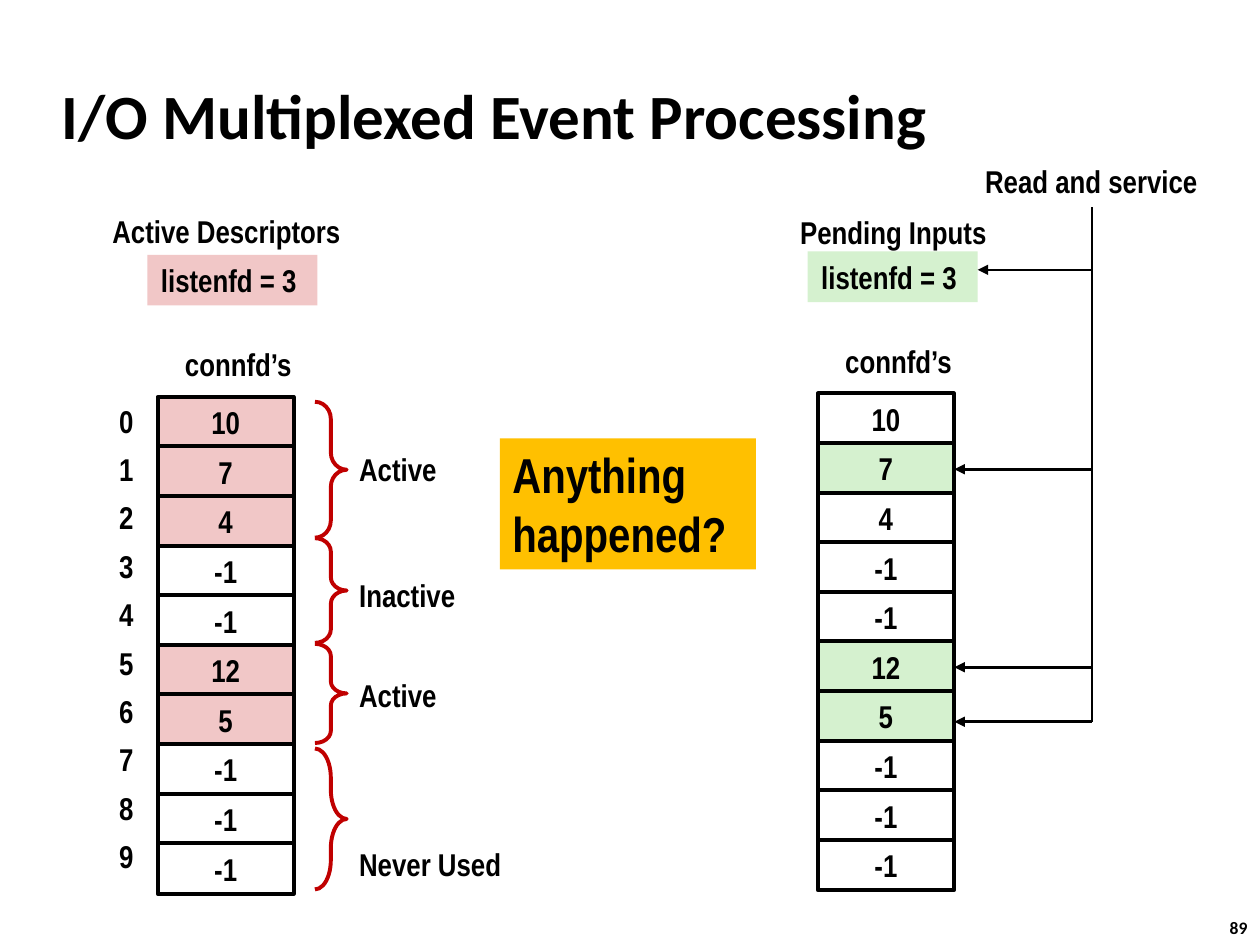
"""Build the slide on I/O multiplexed event processing."""
from dataclasses import dataclass

from lxml.etree import SubElement
from pptx import Presentation
from pptx.dml.color import RGBColor
from pptx.enum.shapes import MSO_CONNECTOR, MSO_SHAPE
from pptx.enum.text import MSO_ANCHOR as Anchor, MSO_AUTO_SIZE as AutoSize, PP_ALIGN as Align
from pptx.oxml.ns import qn
from pptx.util import Cm, Pt


@dataclass(frozen=True)
class Theme:
    black: RGBColor = RGBColor(0x00, 0x00, 0x00)
    white: RGBColor = RGBColor(0xFF, 0xFF, 0xFF)
    active: RGBColor = RGBColor(0xF1, 0xC7, 0xC7)
    pending: RGBColor = RGBColor(0xD5, 0xF1, 0xCF)
    brace: RGBColor = RGBColor(0xC0, 0x00, 0x00)
    question: RGBColor = RGBColor(0xFF, 0xC0, 0x00)
    body_font: str = "Arial Narrow"
    title_font: str = "Calibri"
    title_size: Pt = Pt(36)
    question_size: Pt = Pt(28)
    body_size: Pt = Pt(18)
    number_size: Pt = Pt(10)
    border: Pt = Pt(2.25)
    arrow: Pt = Pt(1.5)


theme = Theme()


def add_label(shapes, text, left, top, width, height=1.02, align=Align.CENTER, anchor=Anchor.TOP,
              wrap=False, fill=None, border=False, font=theme.body_font, size=theme.body_size):
    place = Cm(left), Cm(top), Cm(width), Cm(height)
    if fill is None:
        shape = shapes.add_textbox(*place)
    else:
        shape = shapes.add_shape(MSO_SHAPE.RECTANGLE, *place)
        shape.shadow.inherit = False
        shape.fill.solid()
        shape.fill.fore_color.rgb = fill
        if border:
            shape.line.color.rgb = theme.black
            shape.line.width = theme.border
        else:
            shape.line.fill.background()
    frame = shape.text_frame
    frame.word_wrap = wrap
    frame.auto_size = AutoSize.SHAPE_TO_FIT_TEXT
    frame.vertical_anchor = anchor
    for index, line in enumerate(text.split("\n")):
        paragraph = frame.add_paragraph() if index else frame.paragraphs[0]
        paragraph.alignment = align
        run = paragraph.add_run()
        run.text = line
        run.font.name = font
        run.font.size = size
        run.font.bold = True
        run.font.color.rgb = theme.black


def add_line(shapes, start_x, start_y, end_x, end_y, arrowhead=False):
    connector = shapes.add_connector(
        MSO_CONNECTOR.STRAIGHT, Cm(start_x), Cm(start_y), Cm(end_x), Cm(end_y))
    connector.line.color.rgb = theme.black
    connector.line.width = theme.arrow
    properties = connector._element.spPr
    if arrowhead:
        SubElement(properties.find(qn("a:ln")), qn("a:tailEnd"), type="triangle")
    SubElement(properties, qn("a:effectLst"))


presentation = Presentation()
presentation.slide_width = Cm(25.4)
presentation.slide_height = Cm(19.05)
slide = presentation.slides.add_slide(presentation.slide_layouts[5])

title = slide.shapes.title
title.left, title.top, title.width, title.height = Cm(0.99), Cm(1.24), Cm(21.08), Cm(2.11)
title.text_frame.vertical_anchor = Anchor.MIDDLE
paragraph = title.text_frame.paragraphs[0]
paragraph.alignment = Align.LEFT
run = paragraph.add_run()
run.text = "I/O Multiplexed Event Processing"
run.font.name = theme.title_font
run.font.size = theme.title_size
run.font.bold = True
run.font.color.rgb = theme.black

add_label(slide.shapes, "89", 24.54, 18.36, 0.94, 0.69, align=Align.LEFT,
          font=theme.title_font, size=theme.number_size)

descriptors = ["10", "7", "4", "-1", "-1", "12", "5", "-1", "-1", "-1"]
pending_group = slide.shapes.add_group_shape().shapes
arrays = [
    (slide.shapes, 3.18, 8.0, theme.active, {0, 1, 2, 5, 6}),
    (pending_group, 16.49, 7.93, theme.pending, {1, 5, 6}),
]
for shapes, left, top, color, marked in arrays:
    add_label(shapes, "listenfd = 3 ", left - 0.21, top - 2.86, 3.43, fill=color)
    add_label(shapes, "connfd’s", left + 0.23, top - 1.16, 2.79)
    for row, value in enumerate(descriptors):
        add_label(shapes, value, left, top + row, 2.74, anchor=Anchor.MIDDLE, wrap=True,
                  fill=color if row in marked else theme.white, border=True)

for row in range(len(descriptors)):
    add_label(slide.shapes, str(row), 0.2, 7.97 + 0.975 * row, 2.74,
              align=Align.RIGHT, anchor=Anchor.MIDDLE, wrap=True)

ranges = [
    ("Active", 8.1, 2.74, 0.54, 8.94, 2.16),
    ("Inactive", 10.85, 2.11, 0.42, 11.48, 2.62),
    ("Active", 12.98, 2.0, 0.38, 13.51, 2.16),
    ("Never Used", 15.09, 2.84, 0.92, 16.92, 3.61),
]
for name, top, height, curve, label_top, label_width in ranges:
    brace = slide.shapes.add_shape(MSO_SHAPE.RIGHT_BRACE, Cm(6.35), Cm(top), Cm(0.64), Cm(height))
    brace.adjustments[0] = curve
    brace.shadow.inherit = False
    brace.fill.background()
    brace.line.color.rgb = theme.brace
    brace.line.width = theme.border
    add_label(slide.shapes, name, 6.99, label_top, label_width, align=Align.LEFT)

add_label(slide.shapes, "Active Descriptors", 1.91, 4.14, 5.31)
add_label(pending_group, "Pending Inputs", 15.24, 4.17, 5.54, wrap=True)
add_label(pending_group, "Read and service", 19.23, 3.15, 5.54, wrap=True)

trunk_x = 22.01
for tip_x, y in [(19.71, 5.44), (19.24, 9.46), (19.24, 13.45), (19.24, 14.55)]:
    add_line(pending_group, trunk_x, y, tip_x, y, arrowhead=True)
add_line(pending_group, trunk_x, 14.55, trunk_x, 4.17)

add_label(slide.shapes, "Anything\nhappened?", 10.08, 8.84, 5.16, 2.64, align=Align.LEFT,
          fill=theme.question, size=theme.question_size)

presentation.save("out.pptx")
